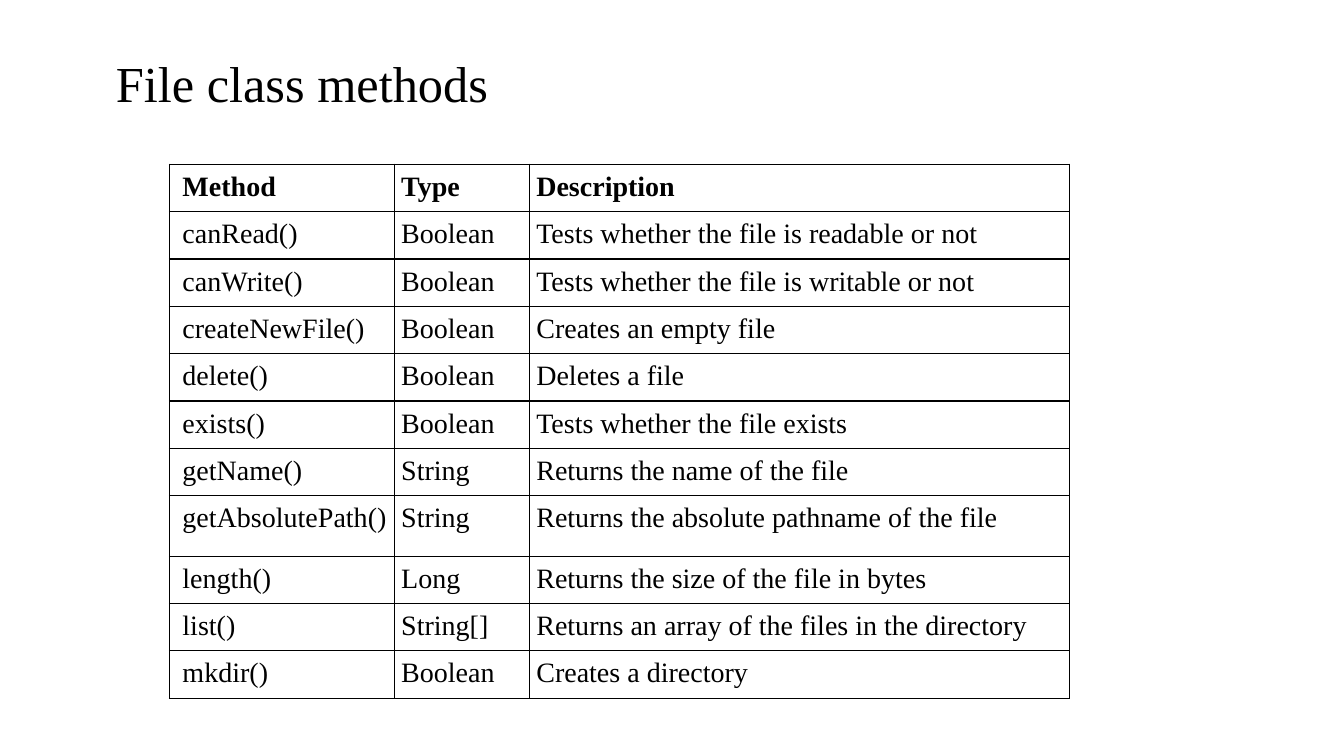
from dataclasses import dataclass

from lxml import etree
from pptx import Presentation
from pptx.dml.color import RGBColor
from pptx.enum.text import MSO_ANCHOR, PP_ALIGN
from pptx.oxml.ns import qn
from pptx.util import Inches, Pt

LEFT = PP_ALIGN.LEFT
MIDDLE = MSO_ANCHOR.MIDDLE
TOP = MSO_ANCHOR.TOP
TITLE_ONLY = 5


@dataclass(frozen=True)
class Theme:
    """Colours, font and type sizes of the slide."""
    ink: str = "000000"
    font: str = "Times New Roman"
    title: int = 36
    body: int = 20
    rule: int = 1


THEME = Theme()
COLS = (2.23, 1.34, 5.36)
ROW = 0.47
TALL_ROW = 0.6
PAD = 0.07
FIRST_PAD = 0.13

METHODS = (
    ("Method", "Type", "Description"),
    ("canRead()", "Boolean", "Tests whether the file is readable or not"),
    ("canWrite()", "Boolean", "Tests whether the file is writable or not"),
    ("createNewFile()", "Boolean", "Creates an empty file"),
    ("delete()", "Boolean", "Deletes a file"),
    ("exists()", "Boolean", "Tests whether the file exists"),
    ("getName()", "String", "Returns the name of the file"),
    ("getAbsolutePath()", "String", "Returns the absolute pathname of the file"),
    ("length()", "Long", "Returns the size of the file in bytes"),
    ("list()", "String[]", "Returns an array of the files in the directory"),
    ("mkdir()", "Boolean", "Creates a directory"),
)


def apply(target, values):
    """Set each attribute named in a dict of format values."""
    for name, value in values.items():
        setattr(target, name, value)


def write(frame, text, size, bold=False):
    """Put one left-aligned line of themed text in a frame."""
    para = frame.paragraphs[0]
    para.alignment = LEFT
    run = para.add_run()
    run.text = text
    apply(run.font, {"name": THEME.font, "size": Pt(size), "bold": bold})
    run.font.color.rgb = RGBColor.from_string(THEME.ink)


def add_title(slide, text):
    """Place and fill the title placeholder."""
    title = slide.shapes.title
    apply(title, {"left": Inches(1.05), "top": Inches(0.4),
                  "width": Inches(11.37), "height": Inches(0.92)})
    frame = title.text_frame
    apply(frame, {"vertical_anchor": MIDDLE, "word_wrap": True})
    write(frame, text, THEME.title)
    frame.paragraphs[0].line_spacing = 0.9


def add_rules(cell):
    """Draw a solid line on all four sides of a cell."""
    props = cell._tc.get_or_add_tcPr()
    for side in ("lnL", "lnR", "lnT", "lnB"):
        line = etree.SubElement(props, qn(f"a:{side}"), w=str(Pt(THEME.rule)))
        fill = etree.SubElement(line, qn("a:solidFill"))
        etree.SubElement(fill, qn("a:srgbClr"), val=THEME.ink)


def fill_cell(cell, text, first, head):
    """Format one cell and write its text."""
    apply(cell, {"margin_left": Inches(FIRST_PAD if first else PAD),
                 "margin_right": Inches(PAD), "margin_top": Inches(PAD),
                 "margin_bottom": Inches(PAD), "vertical_anchor": TOP})
    add_rules(cell)
    cell.fill.background()
    write(cell.text_frame, text, THEME.body, head)


def add_grid(slide, rows):
    """Add the table of methods, with its first row as the header."""
    highs = [TALL_ROW if row[0] == "getAbsolutePath()" else ROW for row in rows]
    frame = slide.shapes.add_table(
        len(rows), len(COLS), Inches(1.68), Inches(1.63),
        Inches(sum(COLS)), Inches(sum(highs)))
    table = frame.table
    table.horz_banding = False
    for col, width in zip(table.columns, COLS):
        col.width = Inches(width)
    for r, (row, high) in enumerate(zip(rows, highs)):
        table.rows[r].height = Inches(high)
        for c, text in enumerate(row):
            fill_cell(table.cell(r, c), text, c == 0, r == 0)


def main():
    """Build the slide and save it."""
    deck = Presentation()
    apply(deck, {"slide_width": Inches(13.33), "slide_height": Inches(7.5)})
    slide = deck.slides.add_slide(deck.slide_layouts[TITLE_ONLY])
    add_title(slide, "File class methods")
    add_grid(slide, METHODS)
    deck.save("out.pptx")


main()
